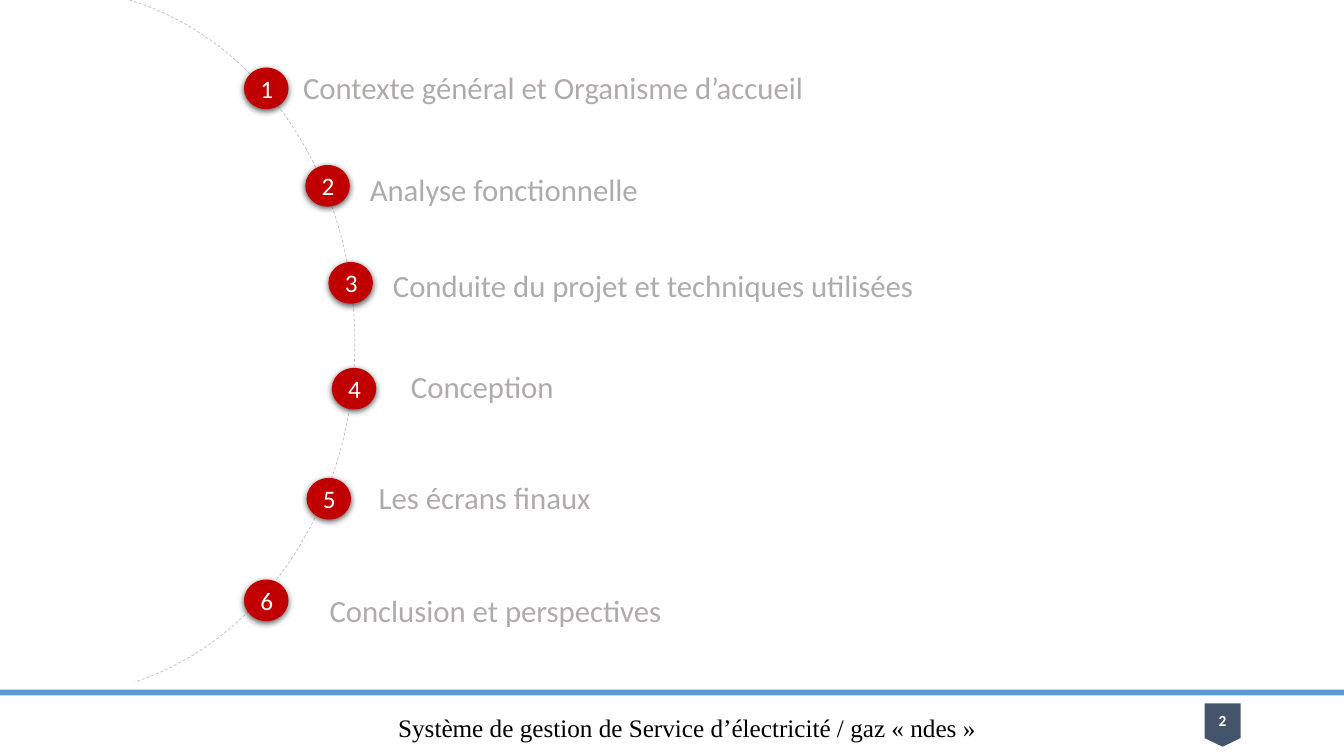
from dataclasses import dataclass

from lxml import etree
from pptx import Presentation
from pptx.dml.color import RGBColor
from pptx.enum.dml import MSO_LINE
from pptx.enum.shapes import MSO_SHAPE
from pptx.enum.text import MSO_ANCHOR, MSO_AUTO_SIZE, PP_ALIGN
from pptx.oxml.ns import qn
from pptx.shapes.autoshape import Shape
from pptx.slide import Slide
from pptx.util import Inches, Pt

RECT = MSO_SHAPE.RECTANGLE
ARC = MSO_SHAPE.ARC
OVAL = MSO_SHAPE.OVAL
TAG = MSO_SHAPE.FLOWCHART_OFFPAGE_CONNECTOR
DASH = MSO_LINE.DASH
MIDDLE = MSO_ANCHOR.MIDDLE
TOP = MSO_ANCHOR.TOP
GROW = MSO_AUTO_SIZE.SHAPE_TO_FIT_TEXT
LEFT = PP_ALIGN.LEFT
CENTER = PP_ALIGN.CENTER

COLS, ROWS = 160, 90
WIDTH, HEIGHT = Inches(COLS / 12), Inches(ROWS / 12)
DOT_W, DOT_H = 5.3, 4.95
COLORS = {
    "bar": "5B9BD5",
    "arc": "BFBFBF",
    "dot": "C00000",
    "tag": "44546A",
    "label": "AFABAB",
    "white": "FFFFFF",
    "black": "000000",
}


@dataclass
class Box:
    col: float
    row: float
    cols: float
    rows: float

    def place(self) -> tuple[int, int, int, int]:
        return (
            round(WIDTH * self.col / COLS),
            round(HEIGHT * self.row / ROWS),
            round(WIDTH * self.cols / COLS),
            round(HEIGHT * self.rows / ROWS),
        )


@dataclass
class Style:
    size: int
    color: str
    font: str = "Calibri"
    bold: bool = False
    align: PP_ALIGN = CENTER
    anchor: MSO_ANCHOR = MIDDLE


@dataclass
class Topic:
    text: str
    dot: tuple[float, float]
    label: Box


LABEL = Style(22, "label", align=LEFT, anchor=TOP)
NUMBER = Style(18, "white")
PAGE = Style(11, "white", bold=True)
FOOTER = Style(18, "black", font="Times New Roman")

TOPICS = [
    Topic("Contexte général et Organisme d’accueil", (29.05, 8.05), Box(34.9, 7.55, 69.1, 10.2)),
    Topic("Analyse fonctionnelle", (36.35, 19.65), Box(42.85, 19.7, 81.4, 5.75)),
    Topic("Conduite du projet et techniques utilisées", (39.1, 31.2), Box(45.6, 31.2, 67.2, 5.75)),
    Topic("Conception", (39.5, 43.8), Box(47.75, 43.2, 67.2, 5.75)),
    Topic("Les écrans finaux", (36.5, 56.9), Box(43.9, 56.4, 67.2, 5.75)),
    Topic("Conclusion et perspectives", (29.05, 69), Box(38.05, 69.85, 67.2, 5.75)),
]


def color(name: str) -> RGBColor:
    return RGBColor.from_string(COLORS[name])


def write(shape: Shape, text: str, style: Style) -> None:
    frame = shape.text_frame
    frame.text = text
    frame.word_wrap = True
    frame.vertical_anchor = style.anchor
    line = frame.paragraphs[0]
    line.alignment = style.align
    font = line.runs[0].font
    font.name = style.font
    font.size = Pt(style.size)
    font.bold = style.bold
    font.color.rgb = color(style.color)


def draw(slide: Slide, kind: MSO_SHAPE, box: Box, fill: str) -> Shape:
    shape = slide.shapes.add_shape(kind, *box.place())
    shape.shadow.inherit = False
    shape.fill.solid()
    shape.fill.fore_color.rgb = color(fill)
    shape.line.fill.background()
    return shape


def note(slide: Slide, box: Box, text: str, style: Style) -> Shape:
    shape = slide.shapes.add_textbox(*box.place())
    write(shape, text, style)
    return shape


def shade(shape: Shape) -> None:
    effects = shape._element.spPr.find(qn("a:effectLst"))
    outer = etree.SubElement(
        effects, qn("a:outerShdw"), blurRad=str(Pt(4.5)), dist=str(Pt(1.5)),
        dir="5400000", algn="ctr", rotWithShape="0",
    )
    tint = etree.SubElement(outer, qn("a:srgbClr"), val=COLORS["black"])
    etree.SubElement(tint, qn("a:alpha"), val="63000")


def curve(slide: Slide) -> None:
    arc = draw(slide, ARC, Box(-29.15, -1.3, 71.4, 84), "white")
    arc.adjustments[0] = 169.354
    arc.adjustments[1] = 46.077
    arc.line.color.rgb = color("arc")
    arc.line.width = Pt(0.5)
    arc.line.dash_style = DASH


def entry(slide: Slide, number: int, topic: Topic) -> None:
    label = note(slide, topic.label, topic.text, LABEL)
    label.text_frame.auto_size = GROW
    dot = draw(slide, OVAL, Box(*topic.dot, DOT_W, DOT_H), "dot")
    shade(dot)
    write(dot, str(number), NUMBER)


def main() -> None:
    deck = Presentation()
    deck.slide_width, deck.slide_height = WIDTH, HEIGHT
    slide = deck.slides.add_slide(deck.slide_layouts[6])
    draw(slide, RECT, Box(0, 82.1, COLS, 0.7), "bar")
    curve(slide)
    for number, topic in enumerate(TOPICS, 1):
        entry(slide, number, topic)
    tag = draw(slide, TAG, Box(143.4, 83.75, 4.3, 5.15), "tag")
    write(tag, "2", PAGE)
    title = "Système de gestion de Service d’électricité / gaz « ndes »"
    note(slide, Box(41.65, 84.7, 80.3, 3.7), title, FOOTER)
    deck.save("out.pptx")


if __name__ == "__main__":
    main()
